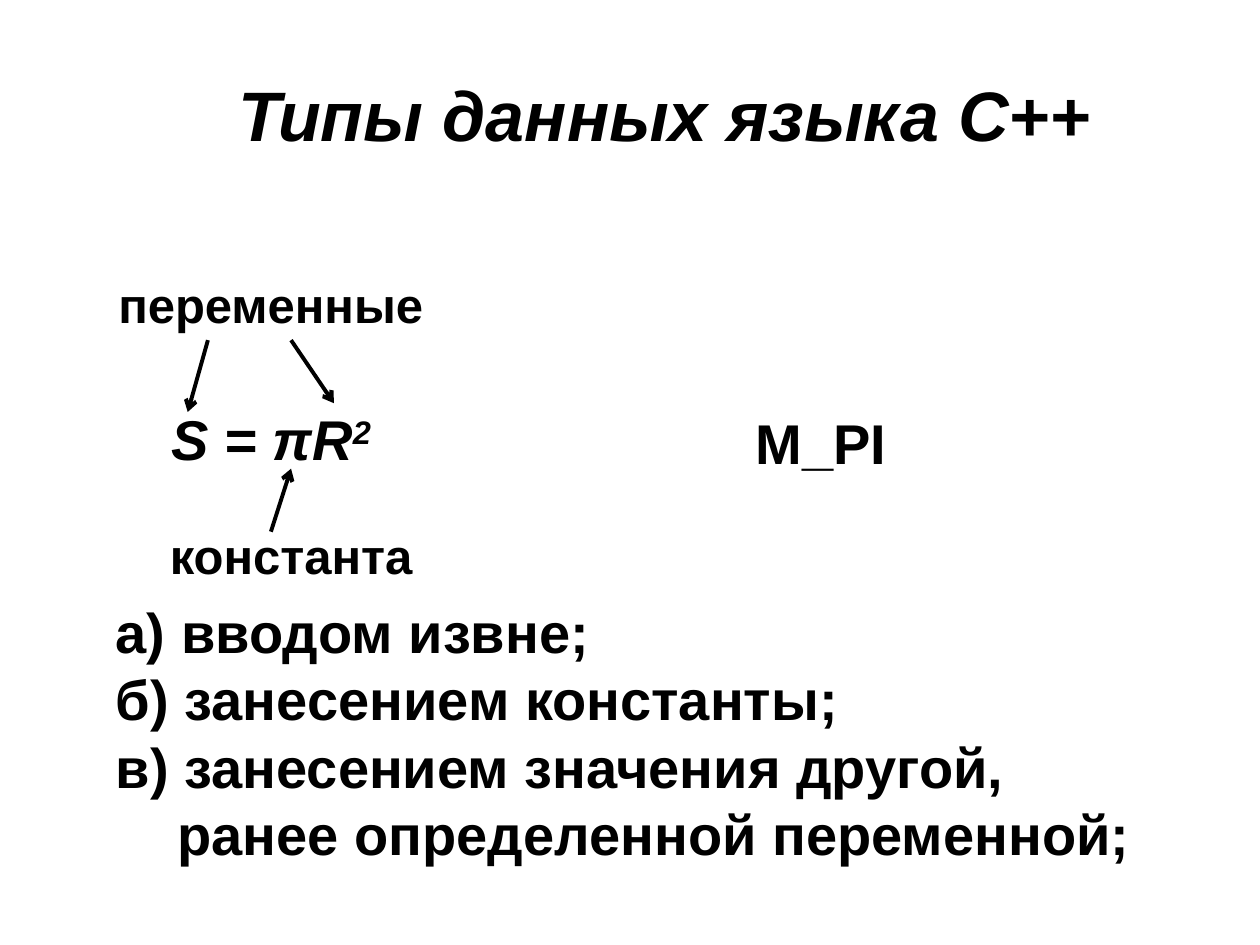
from pptx import Presentation
from pptx.dml.color import RGBColor as Rgb
from pptx.enum.shapes import MSO_CONNECTOR as Conn
from pptx.enum.text import MSO_ANCHOR as Anchor, PP_ALIGN as Align
from pptx.oxml.ns import qn
from pptx.util import Inches, Pt
from lxml.etree import SubElement

COLORS = {"ink": "000000", "back": "FFFFFF"}
FONT = "Arial"
INK = Rgb.from_string(COLORS["ink"])


def style(frame, size, italic=False, anchor=Anchor.TOP, wrap=False):
    frame.word_wrap = wrap
    frame.vertical_anchor = anchor
    for para in frame.paragraphs:
        para.alignment = Align.LEFT
        for run in para.runs:
            font = run.font
            font.name, font.size = FONT, Pt(size)
            font.bold, font.italic = True, italic
            font.color.rgb = INK


def place(shape, left, top, width, height):
    shape.left, shape.top = Inches(left), Inches(top)
    shape.width, shape.height = Inches(width), Inches(height)


def add_text(slide, box, text, size, **look):
    shape = slide.shapes.add_textbox(*map(Inches, box))
    shape.text_frame.text = text
    style(shape.text_frame, size, **look)
    return shape.text_frame


def add_arrow(slide, start, end):
    line = slide.shapes.add_connector(Conn.STRAIGHT, *map(Inches, start + end))
    line.line.color.rgb = INK
    line.line.width = Pt(2.25)
    SubElement(line.line._get_or_add_ln(), qn("a:tailEnd"), type="arrow")
    SubElement(line._element.spPr, qn("a:effectLst"))


def add_title(slide, left, top, width, height):
    title = slide.shapes.title
    place(title, left, top, width, height)
    title.text_frame.text = "Типы данных языка С++"
    style(title.text_frame, 40, italic=True)


def add_formula(slide, left, top):
    add_text(slide, (left, top, 2.62, 0.57), "переменные", 28)
    add_text(slide, (left + 0.41, top + 1.99, 2.13, 0.57), "константа", 28)
    area = add_text(slide, (left + 0.42, top + 1.03, 2.41, 0.64),
                    "S = πR", 32, anchor=Anchor.MIDDLE, wrap=True)
    power = area.paragraphs[0].add_run()
    power.text = "2"
    style(area, 32, italic=True, anchor=Anchor.MIDDLE, wrap=True)
    power.font._element.set("baseline", "30000")
    arrows = [((0.81, 0.57), (0.65, 1.14)),
              ((1.47, 0.57), (1.81, 1.07)),
              ((1.31, 2.09), (1.47, 1.59))]
    for ends in arrows:
        add_arrow(slide, *[(left + x, top + y) for x, y in ends])


def add_ways(slide, left, top, width, height):
    lines = ["а) вводом извне;",
             "б) занесением константы;",
             "в) занесением значения другой,",
             "ранее определенной переменной;"]
    frame = add_text(slide, (left, top, width, height), "\n".join(lines), 32,
                     anchor=Anchor.MIDDLE)
    last = frame.paragraphs[-1]
    last._p.get_or_add_pPr().set("marL", str(Inches(0.49)))


def main():
    deck = Presentation()
    deck.slide_width, deck.slide_height = Inches(10), Inches(7.5)
    slide = deck.slides.add_slide(deck.slide_layouts[5])
    fill = slide.background.fill
    fill.solid()
    fill.fore_color.rgb = Rgb.from_string(COLORS["back"])
    add_title(slide, 1.79, 0.52, 6.98, 0.77)
    add_formula(slide, 0.84, 2.13)
    add_text(slide, (5.9, 3.19, 2.29, 0.64), "M_PI", 32, wrap=True)
    add_ways(slide, 0.82, 4.69, 8.39, 2.24)
    deck.save("out.pptx")


if __name__ == "__main__":
    main()
